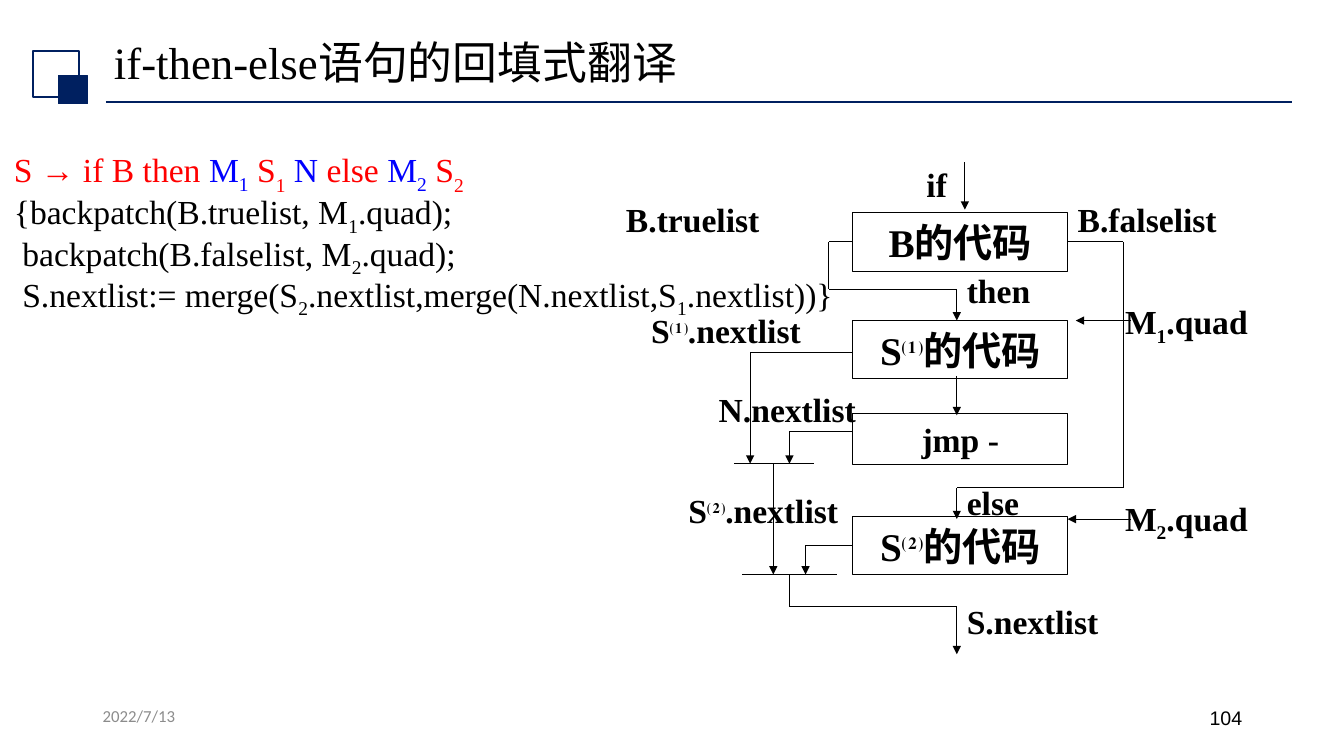
from itertools import pairwise

from lxml import etree
from pptx import Presentation
from pptx.dml.color import RGBColor
from pptx.enum.shapes import MSO_CONNECTOR, MSO_SHAPE
from pptx.enum.text import MSO_ANCHOR, PP_ALIGN
from pptx.oxml.ns import qn
from pptx.util import Pt

PX = 9144  # 100 px to the inch
STRAIGHT, RECTANGLE = MSO_CONNECTOR.STRAIGHT, MSO_SHAPE.RECTANGLE
TOP, MIDDLE = MSO_ANCHOR.TOP, MSO_ANCHOR.MIDDLE
LEFT, CENTER, RIGHT, JUSTIFY = (
    PP_ALIGN.LEFT, PP_ALIGN.CENTER, PP_ALIGN.RIGHT, PP_ALIGN.JUSTIFY)
LEFT_SIDE, RIGHT_SIDE = 1, 3
BLACK, NAVY, RED, BLUE, GREY = "000000", "002060", "FF0000", "0000FF", "8C8C8C"
SERIF = "Times New Roman"
BASELINES = {"_": "-25000", "~": "-30000", "^": "30000"}


def px(*lengths):
    return [round(length * PX) for length in lengths]


def paint(color_format, color):
    color_format.rgb = RGBColor.from_string(color)


def write(frame, lines, size=24, color=BLACK, font=SERIF, bold=False, align=LEFT,
          anchor=TOP, spacing=None, hanging=0):
    """A line is markup or (markup, colour) pairs; "|" splits runs, BASELINES keys shift them."""
    frame.word_wrap = True
    frame.vertical_anchor = anchor
    for number, line in enumerate(lines):
        paragraph = frame.add_paragraph() if number else frame.paragraphs[0]
        paragraph.alignment = align
        if spacing:
            paragraph.line_spacing = spacing
        if hanging:
            properties = paragraph._p.get_or_add_pPr()
            properties.set("marL", str(hanging * PX))
            properties.set("indent", str(-hanging * PX))
        for markup, run_color in [(line, color)] if isinstance(line, str) else line:
            for piece in markup.split("|"):
                run = paragraph.add_run()
                run.text = piece.lstrip("_~^")
                run.font.size, run.font.name, run.font.bold = Pt(size), font, bold
                paint(run.font.color, run_color)
                if piece[0] in BASELINES:
                    run.font._element.set("baseline", BASELINES[piece[0]])


def add_text(slide, box, lines, **style):
    write(slide.shapes.add_textbox(*px(*box)).text_frame, lines, **style)


def add_box(slide, box, line=BLACK, width=0.75, fill=None):
    shape = slide.shapes.add_shape(RECTANGLE, *px(*box))
    shape.shadow.inherit = False
    if fill:
        shape.fill.solid()
        paint(shape.fill.fore_color, fill)
    else:
        shape.fill.background()
    paint(shape.line.color, line)
    shape.line.width = Pt(width)
    return shape


def add_route(slide, points, color=BLACK, width=0.75, arrow=False, start=None):
    """Straight segments through the points; start is a (shape, side) to join."""
    for begin, end in pairwise(points):
        segment = slide.shapes.add_connector(STRAIGHT, *px(*begin, *end))
        if start and begin == points[0]:
            segment.begin_connect(*start)
        paint(segment.line.color, color)
        segment.line.width = Pt(width)
        properties = segment._element.spPr
        if arrow and end == points[-1]:
            etree.SubElement(properties.find(qn("a:ln")), qn("a:tailEnd"), type="triangle")
        etree.SubElement(properties, qn("a:effectLst"))


def header(slide, left, top):
    add_route(slide, [(left + 72, top + 67), (left + 1248, top + 67)], NAVY, 1.25)
    add_box(slide, (left, top + 17, 45, 45), NAVY, 1.5)
    add_box(slide, (left + 25, top + 41, 29, 28), NAVY, 0.75, NAVY)
    title = slide.shapes.title
    title.left, title.top, title.width, title.height = px(left + 70, top, 1150, 61)
    write(title.text_frame, ["if-then-else语句的回填式翻译"], size=32, anchor=MIDDLE, spacing=0.9)


def translation_rule(slide, box):
    production = [
        ("S → if B then ", RED), ("M|_1", BLUE), (" S|~1| ", RED), ("N", BLUE),
        (" else ", RED), ("M|_2", BLUE), (" S|~2", RED)]
    actions = [
        "{backpatch(B.truelist, M|_1|.quad);",
        " backpatch(B.falselist, M|_2|.quad);",
        " S.nextlist:= merge(S|_2|.nextlist,merge(N.nextlist,S|_1|.nextlist))}"]
    add_text(slide, box, [production, *actions], align=JUSTIFY, spacing=0.9, hanging=25)


def code_flow(slide, left, top):
    def route(*points, **options):
        add_route(slide, [(left + x, top + y) for x, y in points], **options)

    def code(caption, y, height=58, size=28):
        block = add_box(slide, (left + 246, top + y, 213, height))
        write(block.text_frame, [caption], size=size, bold=True, align=CENTER, anchor=MIDDLE)
        return block

    condition = code("B的代码", 61)
    code("S|^⑴|的代码", 168)
    code("jmp -", 260, height=51, size=24)
    else_part = code("S|^⑵|的代码", 362)

    route((357, 11), (357, 58), arrow=True)
    route((246, 90), (222, 90), (222, 137), (349, 137), (349, 168),
          arrow=True, start=(condition, LEFT_SIDE))
    route((459, 90), (514, 90), (514, 334), (349, 334), (349, 365),
          arrow=True, start=(condition, RIGHT_SIDE))
    route((349, 223), (349, 262), arrow=True)
    route((246, 200), (144, 200), (144, 310), arrow=True)
    route((246, 278), (183, 278), (183, 310), arrow=True)
    route((128, 310), (207, 310))
    route((167, 310), (167, 420), arrow=True)
    route((246, 391), (199, 391), (199, 420), arrow=True, start=(else_part, LEFT_SIDE))
    route((136, 420), (230, 420))
    route((183, 420), (183, 452), (349, 452), (349, 499), arrow=True)
    route((522, 168), (467, 168), arrow=True)
    route((522, 365), (459, 365), arrow=True)

    for caption, x, y, width in [
            ("if", 309, 8, 55), ("then", 349, 113, 118), ("else", 349, 323, 118),
            ("B.truelist", 11, 42, 235), ("B.falselist", 459, 42, 222),
            ("S|^⑴|.nextlist", 36, 153, 234), ("N.nextlist", 103, 231, 206),
            ("S|^⑵|.nextlist", 73, 331, 250), ("S.nextlist", 349, 441, 158),
            ("M|_1|.quad", 506, 144, 197), ("M|_2|.quad", 506, 339, 154)]:
        add_text(slide, (left + x, top + y, width, 50), [caption], bold=True)


def footer(slide, top):
    add_text(slide, (92, top, 300, 40), ["2022/7/13"], size=12, color=GREY, font="Calibri")
    add_text(slide, (942, top, 300, 40), ["104"], size=14, font="Arial", align=RIGHT)


def main():
    deck = Presentation()
    deck.slide_width, deck.slide_height = px(1333, 750)
    slide = deck.slides.add_slide(deck.slide_layouts[5])
    header(slide, 33, 34)
    translation_rule(slide, (4, 143, 1070, 451))
    code_flow(slide, 600, 150)
    footer(slide, 695)
    deck.save("out.pptx")


if __name__ == "__main__":
    main()
